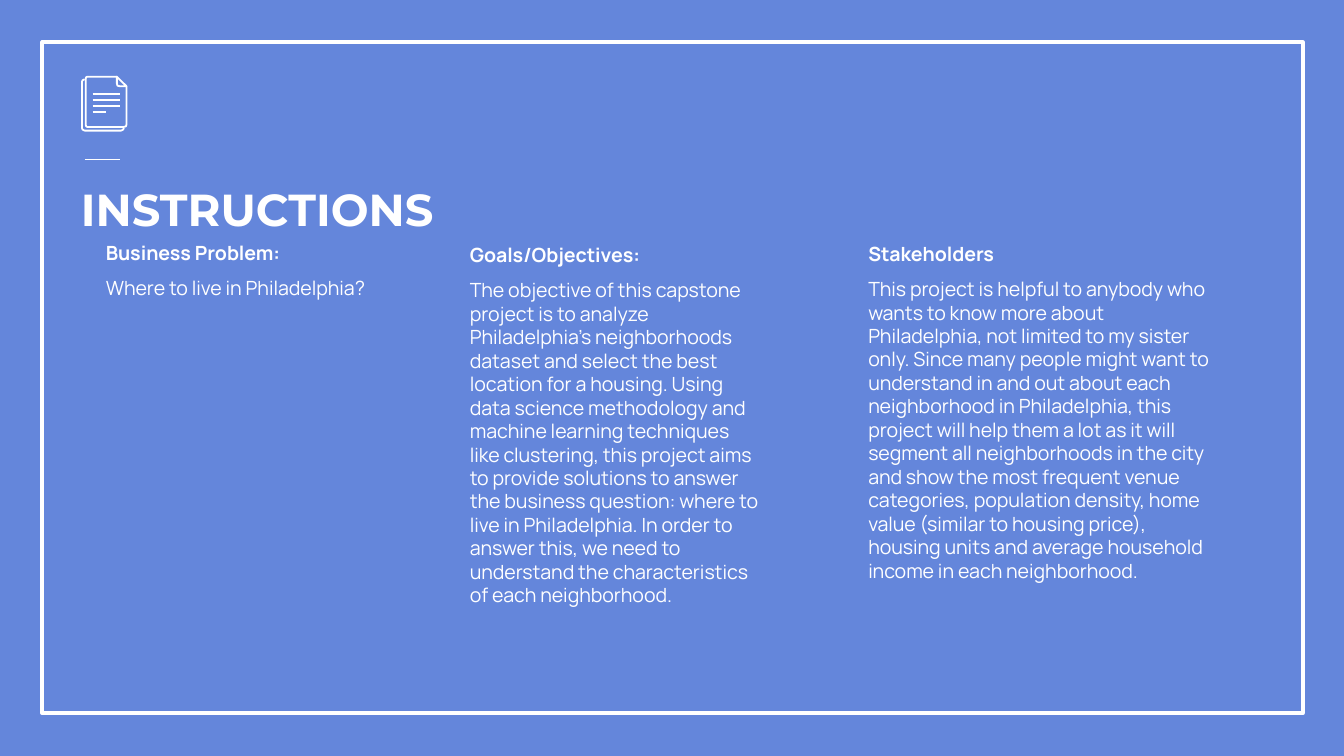
from lxml.etree import SubElement
from pptx import Presentation
from pptx.dml.color import RGBColor
from pptx.enum.shapes import MSO_CONNECTOR, MSO_SHAPE
from pptx.enum.text import MSO_ANCHOR, MSO_AUTO_SIZE, PP_ALIGN
from pptx.oxml.ns import qn
from pptx.util import Cm, Pt

HUES = {"back": "6486DB", "ink": "FFFFFF"}
HEAD = {"name": "Montserrat", "size": Pt(24), "bold": True}
LEAD = {"name": "Manrope", "size": Pt(10.5), "bold": True}
BODY = {**LEAD, "bold": False}
PAD = Cm(0.25)
FRAME = {
    "word_wrap": True, "auto_size": MSO_AUTO_SIZE.NONE,
    "vertical_anchor": MSO_ANCHOR.TOP,
    "margin_left": PAD, "margin_right": PAD,
    "margin_top": PAD, "margin_bottom": PAD,
}

GOALS = (
    "The objective of this capstone project is to analyze Philadelphia’s "
    "neighborhoods dataset and select the best location for a housing. Using "
    "data science methodology and machine learning techniques like clustering, "
    "this project aims to provide solutions to answer the business question: "
    "where to live in Philadelphia. In order to answer this, we need to "
    "understand the characteristics of each neighborhood."
)
HELP = (
    "This project is helpful to anybody who wants to know more about "
    "Philadelphia, not limited to my sister only. Since many people might want "
    "to understand in and out about each neighborhood in Philadelphia, this "
    "project will help them a lot as it will segment all neighborhoods in the "
    "city and show the most frequent venue categories, population density, home "
    "value (similar to housing price), housing units and average household "
    "income in each neighborhood."
)


def hue(key):
    return RGBColor.from_string(HUES[key])


def style(item, looks):
    for key, value in looks.items():
        setattr(item, key, value)


def place(shape, box):
    sides = ("left", "top", "width", "height")
    style(shape, {side: Cm(size) for side, size in zip(sides, box)})


def write(para, text, looks, indent=0):
    para.text = text
    props = para._p.get_or_add_pPr()
    props.set("marL", str(Cm(indent)))
    props.set("indent", "0")
    SubElement(props, qn("a:buNone"))
    para.alignment = PP_ALIGN.LEFT
    para.space_before = Pt(0)
    style(para.runs[0].font, looks)
    para.runs[0].font.color.rgb = hue("ink")


def rule(slide, x, y, width, weight):
    line = slide.shapes.add_connector(
        MSO_CONNECTOR.STRAIGHT, Cm(x), Cm(y), Cm(x + width), Cm(y))
    line.line.color.rgb = hue("ink")
    line.line.width = Pt(weight)
    SubElement(line._element.spPr, qn("a:effectLst"))


def outline(shape, weight):
    shape.shadow.inherit = False
    shape.fill.background()
    shape.line.color.rgb = hue("ink")
    shape.line.width = Pt(weight)


def border(slide, box):
    shape = slide.shapes.add_shape(MSO_SHAPE.RECTANGLE, 0, 0, 0, 0)
    place(shape, box)
    outline(shape, 2.25)


def icon(slide, x, y):
    # Sheets and folded corner, in hundredths of a centimetre
    back = [(79, 97), (78, 100), (74, 102), (5, 102), (1, 100), (0, 97),
            (0, 10), (1, 7), (5, 5)]
    front = [(84, 18), (84, 91), (83, 94), (79, 95), (10, 95), (8, 94),
             (7, 91), (7, 4), (8, 1), (10, 0), (66, 0)]
    fold = [(66, 13), (66, 0), (84, 18), (71, 18), (67, 17)]
    for points, close in ((back, False), (front, False), (fold, True)):
        pen = slide.shapes.build_freeform(*points[0], scale=Cm(0.01))
        pen.add_line_segments(points[1:], close=close)
        outline(pen.convert_to_shape(Cm(x), Cm(y)), 0.96)
    # Lines of writing
    for row, width in enumerate((0.51, 0.51, 0.51, 0.26)):
        rule(slide, x + 0.2, y + 0.33 + 0.11 * row, width, 0.96)


def title(shape, box, text):
    place(shape, box)
    style(shape.text_frame, FRAME)
    write(shape.text_frame.paragraphs[0], text, HEAD)


def column(shape, box, lead, text, indent=0):
    place(shape, box)
    frame = shape.text_frame
    style(frame, FRAME)
    write(frame.paragraphs[0], lead, LEAD, indent)
    para = frame.add_paragraph()
    write(para, text, BODY, indent)
    para.space_before = Pt(6)


def main():
    deck = Presentation()
    deck.slide_width, deck.slide_height = Cm(25.4), Cm(14.29)
    slide = deck.slides.add_slide(deck.slide_layouts[1])
    fill = slide.background.fill
    fill.solid()
    fill.fore_color.rgb = hue("back")

    # Border, icon and short rule
    border(slide, (0.8, 0.8, 23.82, 12.68))
    icon(slide, 1.55, 1.45)
    rule(slide, 1.6, 3.02, 0.66, 0.75)

    # Title and three columns
    title(slide.shapes.title, (1.28, 3.18, 7.87, 2.26), "INSTRUCTIONS")
    column(slide.placeholders[1], (1.75, 4.31, 6, 4.72),
           "Business Problem:", "Where to live in Philadelphia?")
    for box, lead, text, indent in (
        ((8.63, 4.35, 6, 4.72), "Goals/Objectives:", GOALS, 0),
        ((15.96, 4.33, 7.21, 4.72), "Stakeholders", HELP, 0.2),
    ):
        column(slide.shapes.add_textbox(0, 0, 0, 0), box, lead, text, indent)

    deck.save("out.pptx")


if __name__ == "__main__":
    main()
